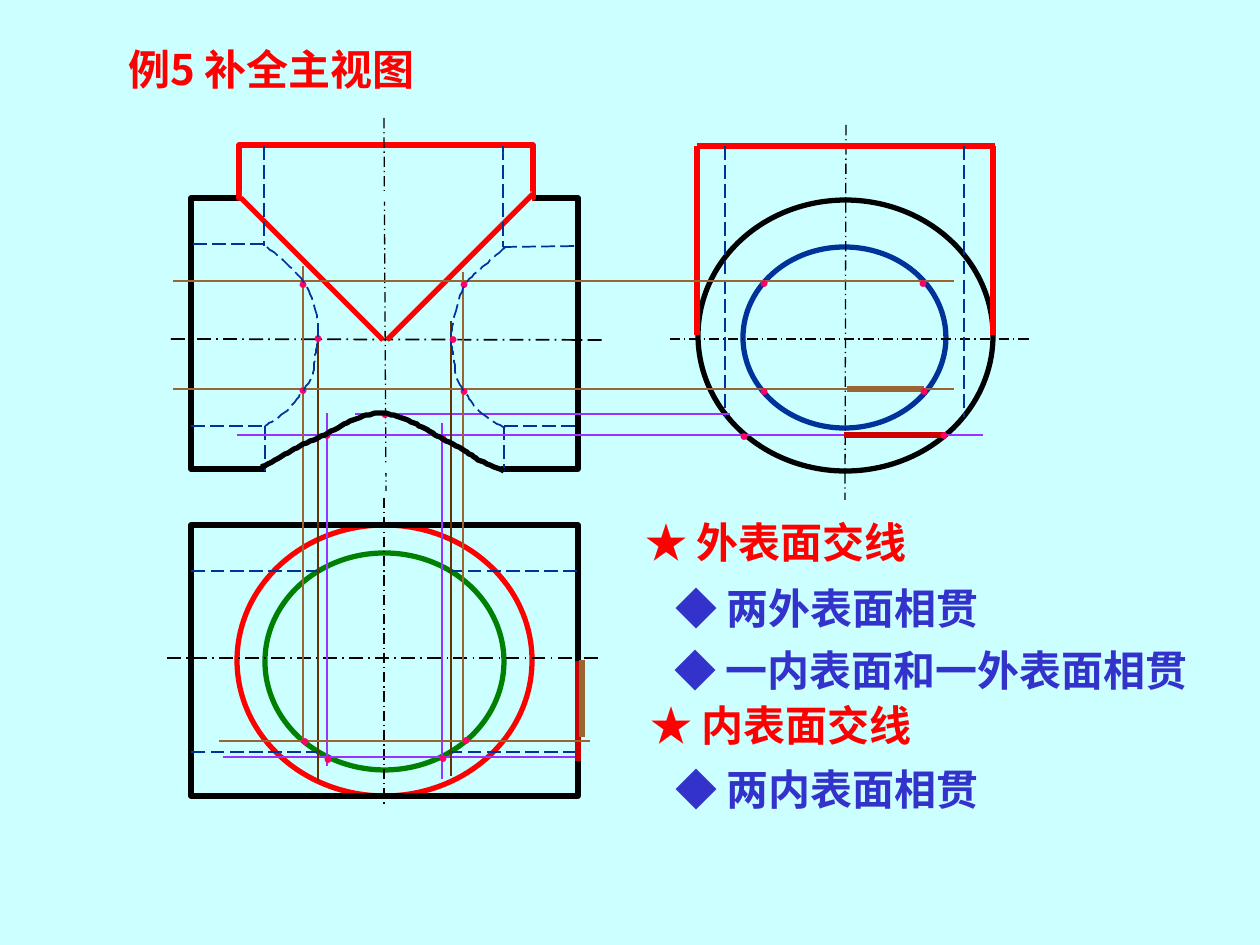
import pptx
import pptx.dml.color
import pptx.enum.dml
import pptx.enum.shapes
import pptx.enum.text
import pptx.oxml.ns
import pptx.util
from lxml import etree


class Theme:
    background = "CCFFFF"
    black = "000000"
    red = "FF0000"
    dark_red = "CC0000"
    green = "008000"
    navy = "003399"
    indigo = "3333CC"
    purple = "9933FF"
    brown = "996633"
    dark_brown = "663300"
    pink = "FF0066"
    heading_size = 24
    dot_size = 9
    bold_line = 3
    thin_line = 1
    axis_line = 0.75
    chinese_font = "Noto Sans CJK SC"
    latin_font = "Times New Roman"


PX = 914400 / 126
DASH = pptx.enum.dml.MSO_LINE.LONG_DASH
AXIS = pptx.enum.dml.MSO_LINE.LONG_DASH_DOT
OVAL = pptx.enum.shapes.MSO_SHAPE.OVAL
RECTANGLE = pptx.enum.shapes.MSO_SHAPE.RECTANGLE
LEFT = pptx.enum.text.PP_ALIGN.LEFT
CENTER = pptx.enum.text.PP_ALIGN.CENTER


def format_line(shape, color, width, dash=None):
    shape.line.color.rgb = pptx.dml.color.RGBColor.from_string(color)
    shape.line.width = pptx.util.Pt(width)
    if dash:
        shape.line.dash_style = dash
    etree.SubElement(shape._element.spPr, pptx.oxml.ns.qn("a:effectLst"))


def write_text(shape, text, *, color, size=Theme.heading_size, font=Theme.latin_font,
               bold=True, marker="", align=LEFT, wrap=True):
    frame = shape.text_frame
    frame.word_wrap = wrap
    frame.vertical_anchor = pptx.enum.text.MSO_ANCHOR.MIDDLE
    paragraph = frame.paragraphs[0]
    paragraph.alignment = align
    for content, weight in ((marker, False), (text, bold)):
        if content:
            run = paragraph.add_run()
            run.text = content
            run.font.name = font
            run.font.size = pptx.util.Pt(size)
            run.font.bold = weight
            run.font.color.rgb = pptx.dml.color.RGBColor.from_string(color)
            east_asian = etree.SubElement(run._r.rPr, pptx.oxml.ns.qn("a:ea"))
            east_asian.set("typeface", Theme.chinese_font)


presentation = pptx.Presentation()
presentation.slide_width = round(1260 * PX)
presentation.slide_height = round(945 * PX)
slide = presentation.slides.add_slide(presentation.slide_layouts[5])
slide.background.fill.solid()
slide.background.fill.fore_color.rgb = pptx.dml.color.RGBColor.from_string(Theme.background)

title = slide.shapes.title
title.left, title.top, title.width, title.height = [round(value * PX) for value in (116, 37, 381, 63)]
write_text(title, "例5 补全主视图", color=Theme.red, font=Theme.chinese_font)

outlines = [
    (OVAL, 237, 525, 295, 271, Theme.red),
    (OVAL, 698, 200, 295, 271, Theme.black),
    (RECTANGLE, 191, 525, 387, 271, Theme.black),
    (RECTANGLE, 191, 198, 387, 271, Theme.black),
    (RECTANGLE, 239, 145, 294, 53, Theme.red),
    (OVAL, 265, 553, 239, 217, Theme.green),
    (OVAL, 743, 247, 203, 181, Theme.navy),
]
for kind, *box, color in outlines:
    shape = slide.shapes.add_shape(kind, *[round(value * PX) for value in box])
    shape.fill.background()
    format_line(shape, color, Theme.bold_line)

line_groups = [
    (Theme.black, Theme.axis_line, AXIS, [
        (384, 498, 384, 805), (670, 339, 1029, 339), (846, 125, 845, 500), (384, 118, 386, 491)]),
    (Theme.black, Theme.thin_line, AXIS, [(167, 658, 602, 658), (171, 339, 602, 340)]),
    (Theme.red, Theme.bold_line, None, [
        (697, 335, 697, 146), (993, 335, 993, 146), (697, 146, 995, 146)]),
    (Theme.background, 6, None, [(242, 196, 532, 197)]),
    (Theme.red, Theme.bold_line, None, [(241, 198, 383, 340), (533, 194, 387, 340)]),
    (Theme.navy, Theme.thin_line, DASH, [
        (503, 146, 503, 247), (264, 146, 264, 246),
        (265, 426, 265, 471), (504, 426, 504, 471),
        (191, 426, 265, 426), (504, 426, 578, 426),
        (193, 244, 266, 244), (503, 247, 578, 246),
        (725, 146, 725, 417), (964, 146, 964, 417),
        (577, 571, 449, 571), (577, 752, 449, 752),
        (320, 571, 191, 571), (320, 752, 191, 752)]),
    (Theme.purple, Theme.thin_line, None, [
        (730, 414, 355, 414), (237, 435, 983, 435), (575, 757, 223, 757)]),
    (Theme.dark_red, Theme.bold_line, None, [(844, 435, 946, 435), (578, 761, 578, 661)]),
    (Theme.background, 4.5, None, [(266, 469, 501, 469)]),
    (Theme.purple, Theme.thin_line, None, [(327, 766, 327, 413), (442, 779, 442, 423)]),
    (Theme.dark_brown, Theme.thin_line, None, [(318, 781, 318, 326), (451, 776, 451, 321)]),
    (Theme.brown, Theme.thin_line, None, [
        (173, 389, 954, 389), (173, 281, 954, 281), (590, 741, 219, 741),
        (303, 741, 303, 266), (463, 741, 463, 272)]),
    (Theme.brown, Theme.bold_line, None, [(847, 389, 924, 389), (582, 737, 582, 660)]),
]
for color, width, dash, lines in line_groups:
    for ends in lines:
        connector = slide.shapes.add_connector(
            pptx.enum.shapes.MSO_CONNECTOR.STRAIGHT, *[round(value * PX) for value in ends])
        format_line(connector, color, width, dash)

dot_centers = [
    (328, 758), (443, 757), (744, 435), (944, 434), (443, 437), (327, 434), (385, 413),
    (318, 337), (453, 338), (764, 390), (924, 390), (764, 282), (923, 282),
    (305, 740), (466, 739), (464, 390), (303, 389), (303, 283), (464, 283),
]
for x, y in dot_centers:
    box = slide.shapes.add_textbox(*[round(value * PX) for value in (x - 17, y - 16, 34, 32)])
    write_text(box, "●", color=Theme.pink, size=Theme.dot_size, bold=False, align=CENTER, wrap=False)

curves = [
    (Theme.navy, Theme.thin_line, DASH, [
        (267, 247), (285, 262), (305, 284), (316, 312), (318, 336),
        (315, 358), (312, 377), (302, 392), (287, 411), (265, 426)]),
    (Theme.navy, Theme.thin_line, DASH, [
        (505, 248), (485, 265), (465, 285), (455, 314), (451, 339),
        (454, 360), (457, 379), (466, 394), (481, 413), (505, 428)]),
    (Theme.black, Theme.bold_line, None, [
        (262, 467), (277, 459), (300, 446), (328, 433), (353, 420), (378, 413),
        (399, 417), (422, 427), (437, 436), (462, 449), (481, 461), (504, 471)]),
]
STEPS = 8
for color, width, dash, knots in curves:
    padded = [knots[0], *knots, knots[-1]]
    points = []
    for before, start, end, after in zip(padded, padded[1:], padded[2:], padded[3:]):
        for step in range(1, STEPS + 1):
            t = step / STEPS
            points.append([
                b + (c - a) * t / 2 + (2 * a - 5 * b + 4 * c - d) * t**2 / 2
                + (3 * b - a - 3 * c + d) * t**3 / 2
                for a, b, c, d in zip(before, start, end, after)])
    builder = slide.shapes.build_freeform(*knots[0], scale=PX)
    builder.add_line_segments(points, close=False)
    shape = builder.convert_to_shape()
    shape.fill.background()
    format_line(shape, color, width, dash)

notes = [
    (633, 510, 408, "", "★ 外表面交线", Theme.red),
    (663, 576, 404, "◆ ", "两外表面相贯", Theme.indigo),
    (662, 638, 601, "", "◆ 一内表面和一外表面相贯", Theme.indigo),
    (638, 693, 441, "", "★ 内表面交线", Theme.red),
    (663, 757, 408, "◆ ", "两内表面相贯", Theme.indigo),
]
for left, top, width, marker, text, color in notes:
    box = slide.shapes.add_textbox(*[round(value * PX) for value in (left, top, width, 63)])
    write_text(box, text, color=color, marker=marker)

presentation.save("out.pptx")
